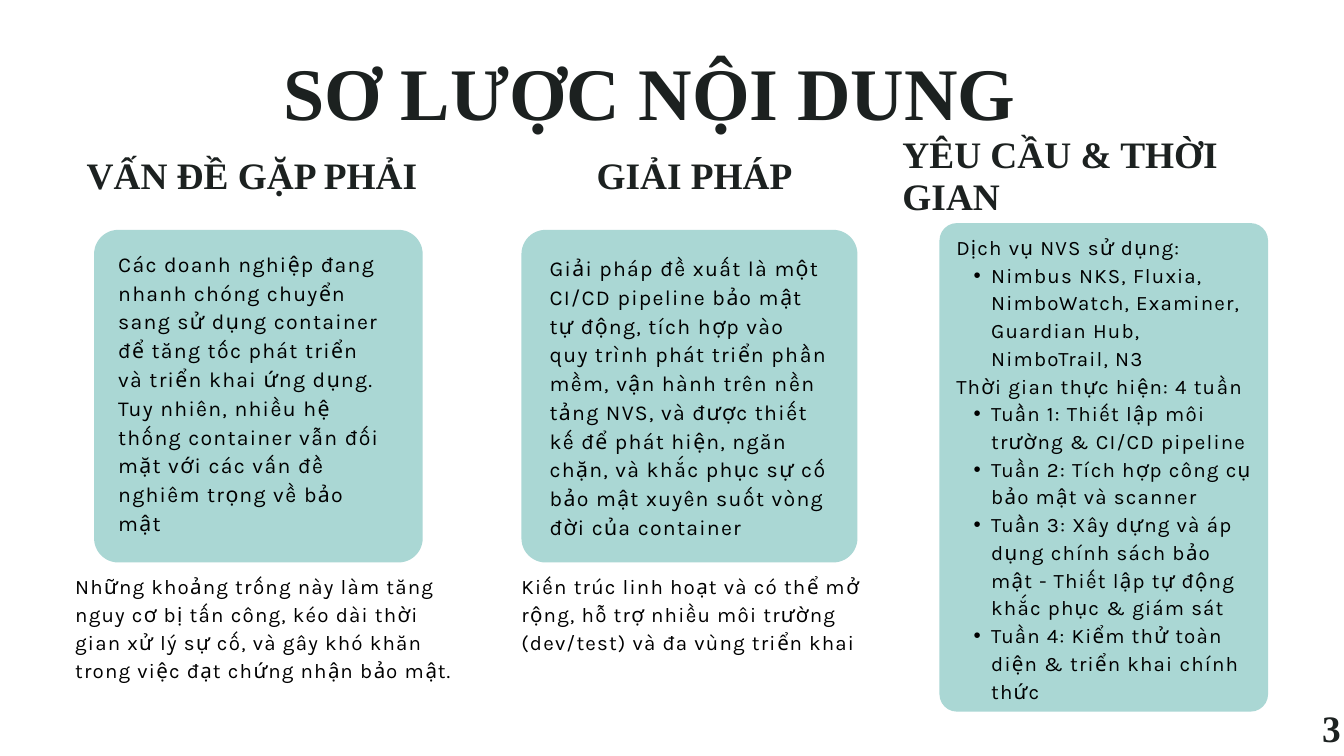
from pptx import Presentation
from pptx.dml.color import RGBColor
from pptx.enum.shapes import MSO_SHAPE
from pptx.enum.text import MSO_ANCHOR, MSO_AUTO_SIZE, PP_ALIGN
from pptx.util import Inches, Pt
from lxml.etree import SubElement
from pptx.oxml.ns import qn

COLORS = {"ink": "1C2120", "body": "000000", "card": "AAD7D4"}

TITLE = ("SƠ LƯỢC NỘI DUNG", (3.86, 0.75, 11.62, 1.44))
PAGE_NUMBER = ("3", (19.63, 10.53, 0.37, 0.72))

# Boxes are left, top, width, height in inches; a list item is (level, text).
COLUMNS = [
    {
        "heading": ("VẤN ĐỀ GẶP PHẢI", (1.29, 2.29, 5.12, 0.72)),
        "card": (1.4, 3.42, 4.89, 4.95),
        "radius": 0.36,
        "summary": (
            "Các doanh nghiệp đang nhanh chóng chuyển sang sử dụng container "
            "để tăng tốc phát triển và triển khai ứng dụng. Tuy nhiên, nhiều hệ "
            "thống container vẫn đối mặt với các vấn đề nghiêm trọng về bảo mật",
            (1.76, 3.69, 4, 4.25)),
        "note": (
            "Những khoảng trống này làm tăng nguy cơ bị tấn công, kéo dài thời "
            "gian xử lý sự cố, và gây khó khăn trong việc đạt chứng nhận bảo mật.",
            (1.12, 8.5, 5.74, 1.62)),
    },
    {
        "heading": ("GIẢI PHÁP", (8.88, 2.29, 3.04, 0.72)),
        "card": (7.76, 3.42, 5, 4.95),
        "radius": 0.36,
        "summary": (
            "Giải pháp đề xuất là một CI/CD pipeline bảo mật tự động, tích hợp "
            "vào quy trình phát triển phần mềm, vận hành trên nền tảng NVS, và "
            "được thiết kế để phát hiện, ngăn chặn, và khắc phục sự cố bảo mật "
            "xuyên suốt vòng đời của container",
            (8.18, 3.75, 4.16, 4.25)),
        "note": (
            "Kiến trúc linh hoạt và có thể mở rộng, hỗ trợ nhiều môi trường "
            "(dev/test) và đa vùng triển khai",
            (7.76, 8.5, 5.32, 1.21)),
    },
    {
        "heading": ("YÊU CẦU & THỜI GIAN", (13.43, 1.98, 6.02, 1.35)),
        "card": (13.98, 3.32, 4.89, 7.27),
        "radius": 0.26,
        "note": ([
            (0, "Dịch vụ NVS sử dụng:"),
            (1, "Nimbus NKS, Fluxia, NimboWatch, Examiner, Guardian Hub, "
                "NimboTrail, N3"),
            (0, "Thời gian thực hiện: 4 tuần"),
            (1, "Tuần 1: Thiết lập môi trường & CI/CD pipeline"),
            (1, "Tuần 2: Tích hợp công cụ bảo mật và scanner"),
            (1, "Tuần 3: Xây dựng và áp dụng chính sách bảo mật - Thiết lập "
                "tự động khắc phục & giám sát"),
            (1, "Tuần 4: Kiểm thử toàn diện & triển khai chính thức"),
        ], (14.23, 3.45, 4.42, 6.9)),
    },
]

SERIF = {"font": "Times New Roman", "color": "ink", "bold": True}
TITLE_STYLE = {**SERIF, "size": 79.4, "leading": 90.5, "align": PP_ALIGN.CENTER}
HEADING_STYLE = {**SERIF, "size": 40, "leading": 45.6}
SUMMARY_STYLE = {"size": 22.8, "leading": 30.8, "tracking": 1.4}
NOTE_STYLE = {"size": 22, "leading": 29.7, "tracking": 1.3}


def add_bullet(paragraph):
    props = paragraph._p.get_or_add_pPr()
    props.set("marL", str(Inches(0.52)))
    props.set("indent", str(Inches(-0.26)))
    SubElement(props, qn("a:buFont")).set("typeface", "Arial")
    SubElement(props, qn("a:buChar")).set("char", "•")


def write(slide, content, box, *, size, leading, font="Karla", color="body",
          bold=False, tracking=0, align=PP_ALIGN.LEFT, holder=None):
    """Fill holder, or a new text box, with one text or a list of (level, text)."""
    position = [Inches(length) for length in box]
    if holder is None:
        holder = slide.shapes.add_textbox(*position)
    else:
        holder.left, holder.top, holder.width, holder.height = position
    frame = holder.text_frame
    frame.word_wrap = True
    frame.auto_size = MSO_AUTO_SIZE.NONE
    frame.vertical_anchor = MSO_ANCHOR.TOP
    frame.margin_left = frame.margin_right = 0
    frame.margin_top = frame.margin_bottom = 0

    items = [(0, content)] if isinstance(content, str) else content
    for index, (level, text) in enumerate(items):
        paragraph = frame.add_paragraph() if index else frame.paragraphs[0]
        paragraph.level = level
        paragraph.alignment = align
        paragraph.line_spacing = Pt(leading)
        paragraph.space_before = paragraph.space_after = Pt(0)
        if level:
            add_bullet(paragraph)
        run = paragraph.add_run()
        run.text = text
        run.font.name = font
        run.font.size = Pt(size)
        run.font.bold = bold
        run.font.color.rgb = RGBColor.from_string(COLORS[color])
        if tracking:
            run.font._element.set("spc", str(round(tracking * 100)))


def add_card(slide, box, radius):
    card = slide.shapes.add_shape(
        MSO_SHAPE.ROUNDED_RECTANGLE, *[Inches(length) for length in box])
    card.adjustments[0] = radius / min(box[2:])
    card.fill.solid()
    card.fill.fore_color.rgb = RGBColor.from_string(COLORS["card"])
    card.line.fill.background()
    card.shadow.inherit = False


def main():
    deck = Presentation()
    deck.slide_width, deck.slide_height = Inches(20), Inches(11.25)
    slide = deck.slides.add_slide(deck.slide_layouts[5])

    write(slide, *TITLE, **TITLE_STYLE, holder=slide.shapes.title)
    for column in COLUMNS:
        add_card(slide, column["card"], column["radius"])
        write(slide, *column["heading"], **HEADING_STYLE)
        if "summary" in column:
            write(slide, *column["summary"], **SUMMARY_STYLE)
        write(slide, *column["note"], **NOTE_STYLE)
    write(slide, *PAGE_NUMBER, **HEADING_STYLE, align=PP_ALIGN.CENTER)

    deck.save("out.pptx")


if __name__ == "__main__":
    main()
